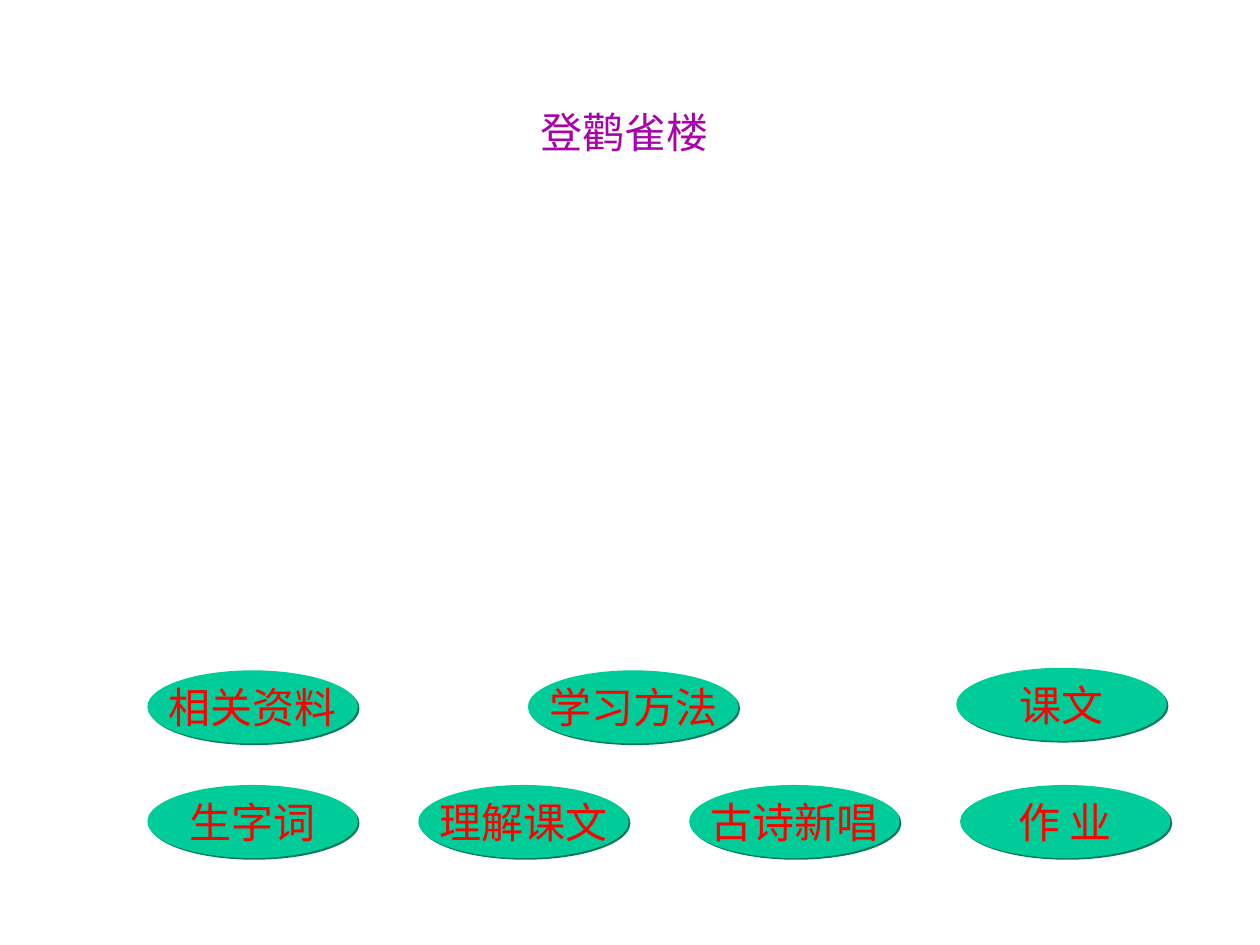
import pptx
import pptx.util
import pptx.dml.color
import pptx.enum.shapes
import pptx.enum.text
import pptx.oxml
import pptx.oxml.ns
from pptx.util import Inches

COLOURS = {"title": "A603AB", "button": "00CC99", "shadow": "007A5C", "label": "FF0000"}
CJK_FONT = "Noto Sans CJK SC"
ALIGN = pptx.enum.text.PP_ALIGN
ANCHOR = pptx.enum.text.MSO_ANCHOR


def rgb(name):
    return pptx.dml.color.RGBColor.from_string(COLOURS[name])


class MenuSlide:
    """Holds the style and the current slide."""

    button_size = (Inches(1.67), Inches(0.58))
    text_size = pptx.util.Pt(24)

    def __init__(self, slide):
        self.slide = slide

    def set_text(self, shape, text, font_name, colour, frame_format, line_spacing=1.0):
        frame = shape.text_frame
        for attribute, value in frame_format.items():
            setattr(frame, attribute, value)
        paragraph = frame.paragraphs[0]
        paragraph.alignment = ALIGN.CENTER
        paragraph.line_spacing = line_spacing
        run = paragraph.add_run()
        run.text = text
        for attribute, value in {"name": font_name, "size": self.text_size, "bold": False}.items():
            setattr(run.font, attribute, value)
        run.font.color.rgb = rgb(colour)
        # East Asian typeface follows the latin one
        east_asian = pptx.oxml.parse_xml(
            f'<a:ea {pptx.oxml.ns.nsdecls("a")} typeface="{CJK_FONT}"/>')
        run.font._element.find(pptx.oxml.ns.qn("a:latin")).addnext(east_asian)

    def title(self, text, left, top, width, height):
        title = self.slide.shapes.title
        place = {"left": left, "top": top, "width": width, "height": height}
        for attribute, value in place.items():
            setattr(title, attribute, Inches(value))
        self.set_text(title, text, CJK_FONT, "title", {
            "auto_size": pptx.enum.text.MSO_AUTO_SIZE.NONE,
            "vertical_anchor": ANCHOR.TOP, "word_wrap": True}, line_spacing=0.9)

    def button(self, text, left, top):
        button = self.slide.shapes.add_shape(
            pptx.enum.shapes.MSO_SHAPE.OVAL, Inches(left), Inches(top), *self.button_size)
        button.fill.solid()
        button.fill.fore_color.rgb = rgb("button")
        button.line.fill.background()
        self.shadow(button)
        self.set_text(button, text, "Times New Roman", "label",
                      {"vertical_anchor": ANCHOR.MIDDLE, "word_wrap": False})

    def shadow(self, shape):
        shape.shadow.inherit = False
        effects = shape._element.spPr.find(pptx.oxml.ns.qn("a:effectLst"))
        effects.append(pptx.oxml.parse_xml(
            f'<a:outerShdw {pptx.oxml.ns.nsdecls("a")} dist="{pptx.util.Pt(1.4)}" '
            f'dir="2700000" algn="ctr" rotWithShape="0">'
            f'<a:srgbClr val="{COLOURS["shadow"]}"/></a:outerShdw>'))


def main():
    presentation = pptx.Presentation()
    presentation.slide_width = Inches(10)
    presentation.slide_height = Inches(7.5)
    title_only = presentation.slide_layouts[5]
    menu = MenuSlide(presentation.slides.add_slide(title_only))

    # Poem title
    menu.title("登鹳雀楼", 1.46, 0.84, 6.99, 2.44)

    # Upper row of buttons
    for label, left, top in (("相关资料", 1.17, 5.32),
                             ("学习方法", 4.19, 5.32),
                             ("课文", 7.59, 5.3)):
        menu.button(label, left, top)

    # Lower row of buttons, evenly spaced
    first_left, step = 1.17, 2.15
    for column, label in enumerate(("生字词", "理解课文", "古诗新唱", "作 业")):
        menu.button(label, first_left + column * step, 6.23)

    presentation.save("out.pptx")


if __name__ == "__main__":
    main()
